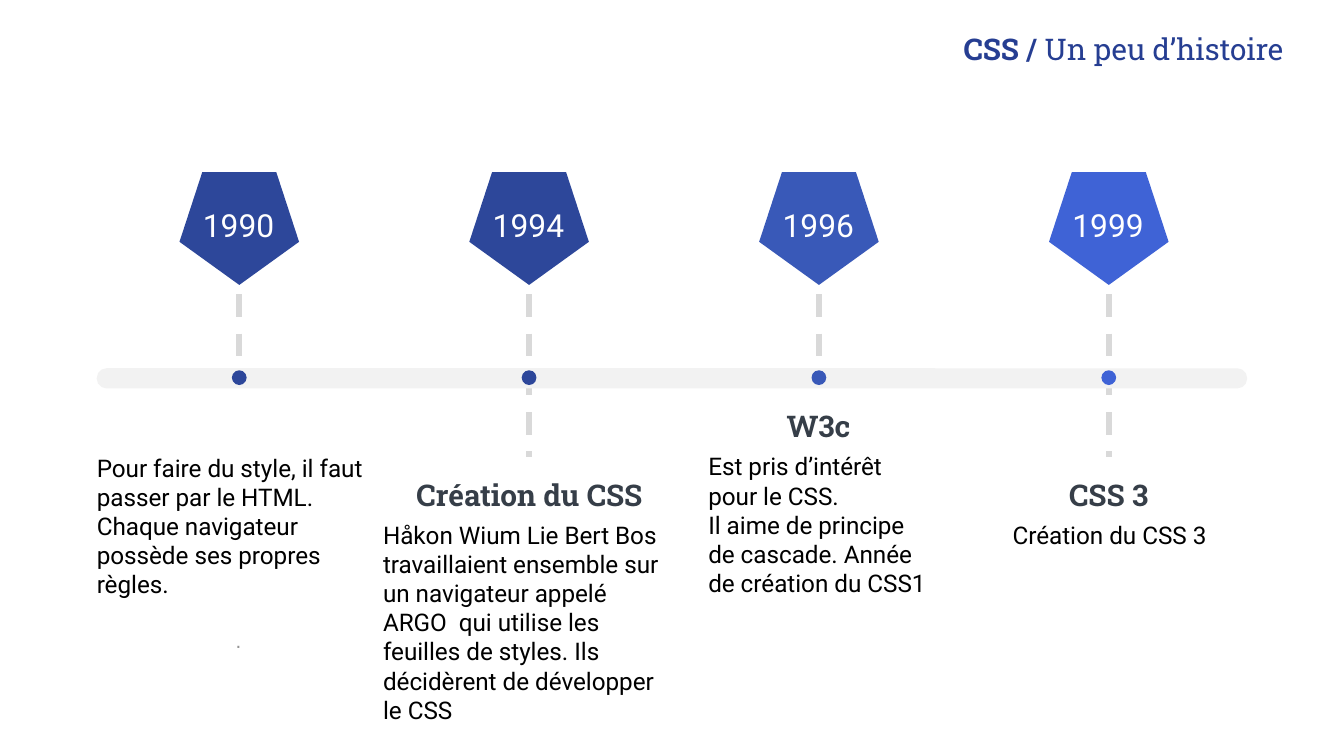
import pptx
import pptx.dml.color
import pptx.enum.dml
import pptx.enum.shapes
import pptx.enum.text
import pptx.oxml.ns
import pptx.util
from lxml import etree

Inches = pptx.util.Inches
Pt = pptx.util.Pt
SHAPE = pptx.enum.shapes.MSO_SHAPE
ALIGN = pptx.enum.text.PP_ALIGN
ANCHOR = pptx.enum.text.MSO_ANCHOR

COLORS = {
    "title": "263E92", "head": "363E48", "body": "000000", "year": "FFFFFF",
    "dot": "949494", "dash": "D9D9D9", "bar": "F2F2F2",
    "navy": "2D479A", "blue": "3959B8", "light": "3F63D6",
}
FIRST, LAST = 1.78, 8.25
AXIS = 2.81

# year, colour, end of the dashed line
DATES = [
    ("1990", "navy", AXIS),
    ("1994", "navy", 3.4),
    ("1996", "blue", AXIS),
    ("1999", "light", 3.4),
]
# text, left, top, width, height
HEADS = [
    ("Création du CSS", 2.98, 3.53, 1.92, 0.31),
    ("W3c", 5.36, 3.01, 1.46, 0.31),
    ("CSS 3", 7.52, 3.53, 1.46, 0.31),
]
# paragraphs, left, top, width, height, alignment
BODIES = [
    (["Pour faire du style, il faut passer par le HTML. Chaque navigateur "
      "possède ses propres règles."], 0.7, 3.35, 2.15, 1.54, ALIGN.LEFT),
    (["Håkon Wium Lie Bert Bos travaillaient ensemble sur un navigateur "
      "appelé ARGO  qui utilise les feuilles de styles. Ils décidèrent de "
      "développer le CSS"], 2.83, 3.85, 2.21, 1.94, ALIGN.LEFT),
    (["Est pris d’intérêt pour le CSS.",
      "Il aime de principe de cascade. Année de création du CSS1"],
     5.25, 3.34, 1.69, 1.32, ALIGN.LEFT),
    (["Création du CSS 3"], 7.41, 3.85, 1.69, 0.26, ALIGN.CENTER),
]


def paint(color, key):
    color.rgb = pptx.dml.color.RGBColor.from_string(COLORS[key])


def add_run(para, text, size, color, font="Roboto", bold=False):
    run = para.add_run()
    run.text = text
    run.font.size = Pt(size)
    run.font.name = font
    run.font.bold = bold
    paint(run.font.color, color)


def set_frame(frame, inset):
    frame.word_wrap = True
    frame.auto_size = pptx.enum.text.MSO_AUTO_SIZE.NONE
    frame.vertical_anchor = ANCHOR.TOP
    frame.margin_left = frame.margin_right = Inches(inset)
    frame.margin_top = frame.margin_bottom = Inches(inset)


def add_text(slide, box, lines, align, size, color, **style):
    frame = slide.shapes.add_textbox(*map(Inches, box)).text_frame
    set_frame(frame, 0.02)
    for i, line in enumerate(lines):
        para = frame.add_paragraph() if i else frame.paragraphs[0]
        para.alignment = align
        add_run(para, line, size, color, **style)
    return frame


def add_form(slide, kind, box, color):
    form = slide.shapes.add_shape(kind, *map(Inches, box))
    form.shadow.inherit = False
    form.fill.solid()
    paint(form.fill.fore_color, color)
    form.line.fill.background()
    return form


def add_dash(slide, x, end):
    line = slide.shapes.add_connector(
        pptx.enum.shapes.MSO_CONNECTOR.STRAIGHT,
        Inches(x), Inches(2.19), Inches(x), Inches(end))
    line.line.width = Pt(3)
    line.line.dash_style = pptx.enum.dml.MSO_LINE.DASH
    paint(line.line.color, "dash")
    props = line._element.spPr
    etree.SubElement(props, pptx.oxml.ns.qn("a:effectLst"))


def add_title(slide):
    title = slide.shapes.title
    title.left, title.top = Inches(5), Inches(0.3)
    title.width, title.height = Inches(4.55), Inches(0.19)
    set_frame(title.text_frame, 0)
    para = title.text_frame.paragraphs[0]
    para.alignment = ALIGN.RIGHT
    para.line_spacing = 0.7
    add_run(para, "CSS / ", 16, "title", "Roboto Slab", True)
    add_run(para, "Un peu d’histoire", 16, "title", "Roboto Slab")


def add_axis(slide):
    step = (LAST - FIRST) / (len(DATES) - 1)
    spots = [(FIRST + i * step, *date) for i, date in enumerate(DATES)]
    for x, _, _, end in spots:
        add_dash(slide, x, end)
    bar = add_form(slide, SHAPE.ROUNDED_RECTANGLE,
                   (0.72, 2.74, 8.56, 0.15), "bar")
    bar.adjustments[0] = 0.49
    wide, spot = 0.89, 0.11
    for x, year, color, _ in spots:
        badge = add_form(slide, SHAPE.REGULAR_PENTAGON,
                         (x - wide / 2, 1.28, wide, 0.84), color)
        badge.rotation = 180
        add_form(slide, SHAPE.OVAL,
                 (x - spot / 2, AXIS - spot / 2, spot, spot), color)
        label = add_text(slide, (x - 0.43, 1.5, 0.85, 0.34), [year],
                         ALIGN.CENTER, 17, "year")
        label.vertical_anchor = ANCHOR.MIDDLE


def add_notes(slide):
    """Add the headings and descriptions below the axis."""
    frames = [add_text(slide, box, lines, align, 13, "body")
              for lines, *box, align in BODIES]
    dot = frames[0].add_paragraph()
    dot.alignment = ALIGN.CENTER
    dot.space_before = Pt(15.6)
    add_run(dot, ".", 11, "dot", "Arial")
    for text, *box in HEADS:
        add_text(slide, box, [text], ALIGN.CENTER, 16, "head",
                 font="Roboto Slab", bold=True)


def main():
    deck = pptx.Presentation()
    deck.slide_width = Inches(10)
    deck.slide_height = deck.slide_width * 9 // 16
    slide = deck.slides.add_slide(deck.slide_layouts[5])
    add_title(slide)
    add_axis(slide)
    add_notes(slide)
    deck.save("out.pptx")


if __name__ == "__main__":
    main()
